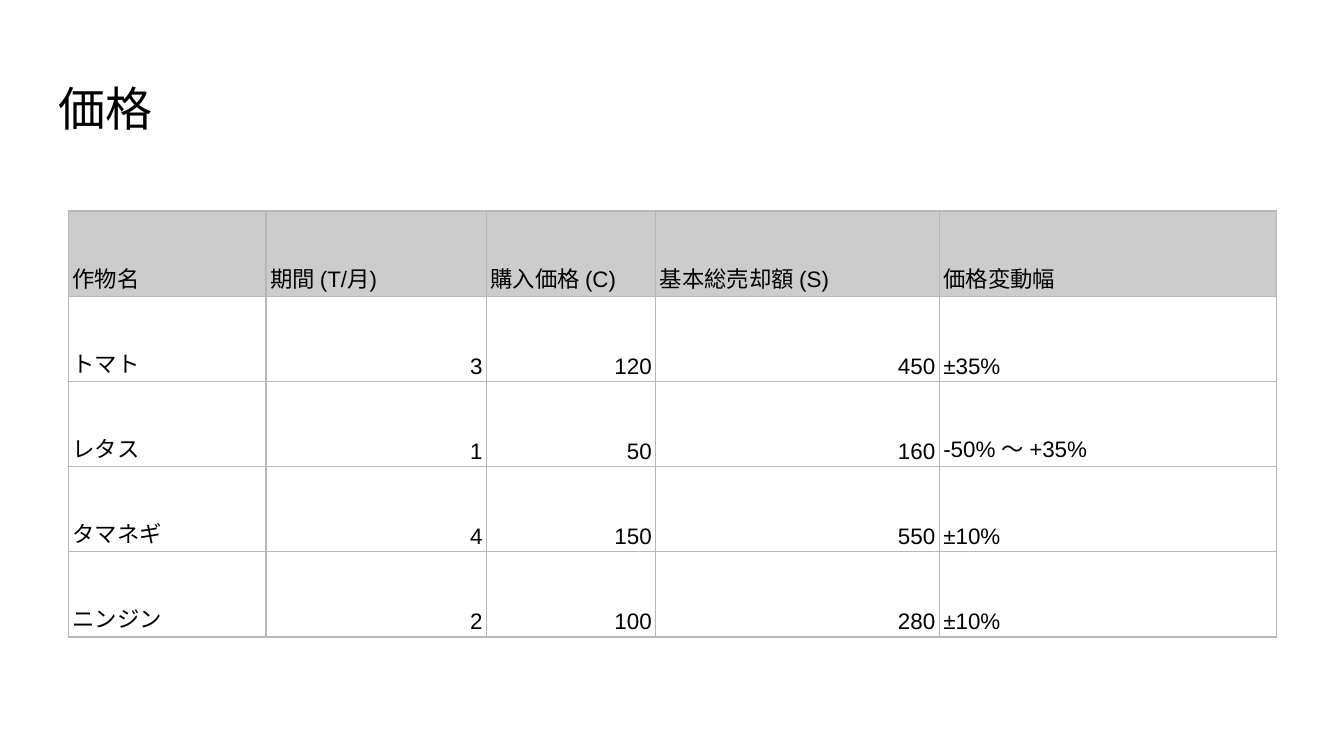
from lxml.etree import SubElement
from pptx import Presentation
from pptx.dml.color import RGBColor
from pptx.enum.text import MSO_ANCHOR, PP_ALIGN
from pptx.oxml.ns import qn
from pptx.util import Inches, Pt


def style_font(para, size, color="000000"):
    para.font.name = "Arial"
    para.font.size = Pt(size)
    para.font.color.rgb = RGBColor.from_string(color)


def add_borders(cell, color, width):
    properties = cell._tc.get_or_add_tcPr()
    for side in ("a:lnL", "a:lnR", "a:lnT", "a:lnB"):
        line = SubElement(properties, qn(side), w=str(Pt(width)))
        fill = SubElement(line, qn("a:solidFill"))
        SubElement(fill, qn("a:srgbClr"), val=color)


deck = Presentation()
deck.slide_width = Inches(10)
deck.slide_height = Inches(10 * 9 / 16)
page = deck.slides.add_slide(deck.slide_layouts[6])

title = page.shapes.add_textbox(Inches(0.34), Inches(0.49), Inches(9.32), Inches(0.63))
frame = title.text_frame
frame.word_wrap = True
frame.margin_left = frame.margin_right = Inches(0.1)
frame.margin_top = frame.margin_bottom = Inches(0.1)
frame.text = "価格"
style_font(frame.paragraphs[0], 25.2)

crop_prices = [
    ["作物名", "期間 (T/月)", "購入価格 (C)", "基本総売却額 (S)", "価格変動幅"],
    ["トマト", "3", "120", "450", "±35%"],
    ["レタス", "1", "50", "160", "-50% 〜 +35%"],
    ["タマネギ", "4", "150", "550", "±10%"],
    ["ニンジン", "2", "100", "280", "±10%"],
]
column_widths = [1.47, 1.64, 1.26, 2.11, 2.51]

table = page.shapes.add_table(
    len(crop_prices), len(column_widths),
    Inches(0.51), Inches(1.57), Inches(sum(column_widths)), Inches(3.17),
).table
table.first_row = False
table.horz_banding = False
for column, width in zip(table.columns, column_widths):
    column.width = Inches(width)

for row_index, values in enumerate(crop_prices):
    for column_index, value in enumerate(values):
        cell = table.cell(row_index, column_index)
        cell.text = value
        cell.vertical_anchor = MSO_ANCHOR.BOTTOM
        cell.margin_left = cell.margin_right = Inches(0.03)
        cell.margin_top = cell.margin_bottom = Inches(0.02)
        para = cell.text_frame.paragraphs[0]
        para.line_spacing = 1.15
        para.alignment = PP_ALIGN.RIGHT if value.isdigit() else PP_ALIGN.LEFT
        style_font(para, 12)
        add_borders(cell, "B7B7B7", 0.83)
        if row_index == 0:
            cell.fill.solid()
            cell.fill.fore_color.rgb = RGBColor.from_string("CCCCCC")
        else:
            cell.fill.background()

deck.save("out.pptx")
